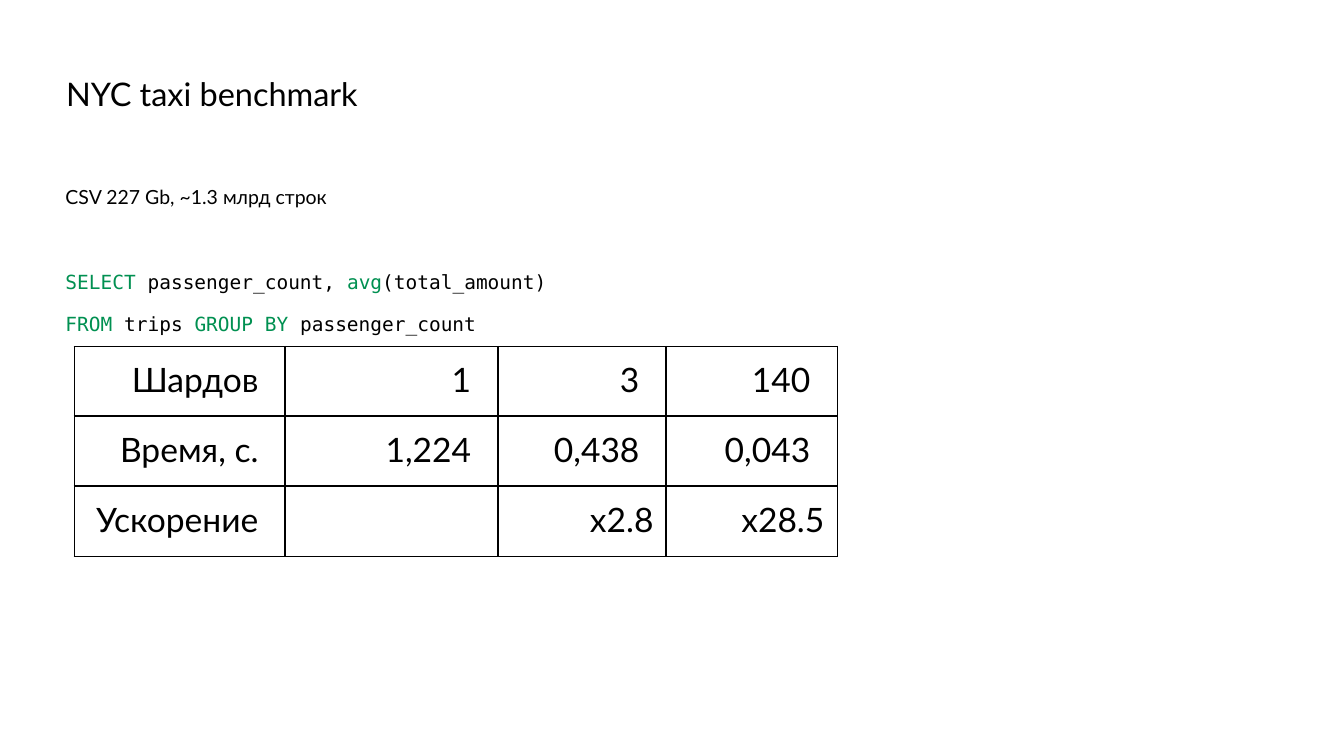
from dataclasses import dataclass

from lxml import etree
from pptx import Presentation
from pptx import util as u
from pptx.dml.color import RGBColor
from pptx.enum import text
from pptx.oxml.ns import qn


@dataclass(frozen=True)
class Theme:
    sans: str = "Lato"
    mono: str = "DejaVu Sans Mono"
    ink: str = "000000"
    keyword: str = "009051"
    paper: str = "FFFFFF"
    title_size: int = 80
    text_size: int = 48
    title_shift: int = -5000
    text_shift: int = 6000
    code_shift: int = -400
    inner_line: float = 3
    outer_line: float = 1.5


@dataclass(frozen=True)
class Token:
    words: str
    is_keyword: bool = False


@dataclass(frozen=True)
class Row:
    cells: tuple[str, ...]


THEME = Theme()
QUERY = (
    (Token("SELECT", True), Token(" passenger_count, "),
     Token("avg", True), Token("(total_amount)")),
    (Token("FROM", True), Token(" trips "),
     Token("GROUP BY", True), Token(" passenger_count")),
)
ROWS = (
    Row(("Шардов", "1", "3", "140")),
    Row(("Время, с.", "1,224", "0,438", "0,043")),
    Row(("Ускорение", "", "x2.8", "x28.5")),
)
COLUMN_WIDTHS = (4.19, 4.22, 3.34, 3.39)
ROW_HEIGHT = 1.39
CELL_INSET = 0.25
NUMBER_INSET = 0.53


def add_span(para, words: str, *, size: float = THEME.text_size,
             font: str = THEME.sans, color: str = THEME.ink,
             shift: int = 0) -> None:
    span = para.add_run()
    span.text = words
    span.font.size = u.Pt(size)
    span.font.name = font
    span.font.bold = False
    span.font.color.rgb = RGBColor.from_string(color)
    if shift:
        span.font._element.set("baseline", str(shift))


def prepare_frame(frame) -> None:
    frame.word_wrap = True
    frame.auto_size = text.MSO_AUTO_SIZE.NONE
    frame.vertical_anchor = text.MSO_ANCHOR.TOP
    frame.margin_left = frame.margin_right = u.Inches(0.06)
    frame.margin_top = frame.margin_bottom = u.Inches(0.06)


def format_paragraph(para, *, spacing, before: float = 0,
                     align=text.PP_ALIGN.LEFT) -> None:
    para.line_spacing = spacing
    para.space_before = u.Pt(before)
    para.alignment = align


def add_title(page, words: str) -> None:
    title = page.shapes.title
    title.left, title.top = u.Inches(1.25), u.Inches(0.83)
    title.width, title.height = u.Inches(24.16), u.Inches(1.81)
    prepare_frame(title.text_frame)
    para = title.text_frame.paragraphs[0]
    format_paragraph(para, spacing=u.Pt(100))
    add_span(para, words, size=THEME.title_size, shift=THEME.title_shift)


def add_body(page, summary: str, query: tuple[tuple[Token, ...], ...]) -> None:
    box = page.shapes.add_textbox(
        u.Inches(1.24), u.Inches(3.34), u.Inches(20.44), u.Inches(9.99))
    prepare_frame(box.text_frame)
    para = box.text_frame.paragraphs[0]
    format_paragraph(para, spacing=u.Pt(60), before=30)
    add_span(para, summary, shift=THEME.text_shift)
    para = box.text_frame.add_paragraph()
    format_paragraph(para, spacing=u.Pt(60), before=59)
    for number, line in enumerate(query):
        if number:
            para.add_line_break()
        for token in line:
            add_span(para, token.words, font=THEME.mono,
                     color=THEME.keyword if token.is_keyword else THEME.ink,
                     shift=THEME.code_shift)


def set_borders(cell, widths: dict[str, float]) -> None:
    properties = cell._tc.get_or_add_tcPr()
    for position, (side, width) in enumerate(widths.items()):
        line = etree.Element(qn(f"a:ln{side}"), w=str(int(u.Pt(width))))
        fill = etree.SubElement(line, qn("a:solidFill"))
        etree.SubElement(fill, qn("a:srgbClr"), val=THEME.ink)
        properties.insert(position, line)


def add_results(page, rows: tuple[Row, ...]) -> None:
    frame = page.shapes.add_table(
        len(rows), len(COLUMN_WIDTHS), u.Inches(1.47), u.Inches(6.87),
        u.Inches(sum(COLUMN_WIDTHS)), u.Inches(ROW_HEIGHT * len(rows)))
    table = frame.table
    table.first_row = table.horz_banding = False
    for column, width in zip(table.columns, COLUMN_WIDTHS):
        column.width = u.Inches(width)
    last_row, last_column = len(rows) - 1, len(COLUMN_WIDTHS) - 1
    for r, row in enumerate(rows):
        table.rows[r].height = u.Inches(ROW_HEIGHT)
        for c, words in enumerate(row.cells):
            cell = table.cell(r, c)
            cell.fill.solid()
            cell.fill.fore_color.rgb = RGBColor.from_string(THEME.paper)
            cell.vertical_anchor = text.MSO_ANCHOR.MIDDLE
            cell.margin_left = cell.margin_top = u.Inches(CELL_INSET)
            cell.margin_bottom = u.Inches(CELL_INSET)
            is_ratio = r == last_row and c > 0
            cell.margin_right = u.Inches(CELL_INSET if is_ratio else NUMBER_INSET)
            edges = {"L": c == 0, "R": c == last_column,
                     "T": r == 0, "B": r == last_row}
            set_borders(cell, {
                side: THEME.outer_line if is_outer else THEME.inner_line
                for side, is_outer in edges.items()})
            if words:
                para = cell.text_frame.paragraphs[0]
                format_paragraph(para, spacing=0.9, before=30,
                                 align=text.PP_ALIGN.RIGHT)
                add_span(para, words)


def main() -> None:
    deck = Presentation()
    deck.slide_width, deck.slide_height = u.Inches(26.67), u.Inches(15)
    page = deck.slides.add_slide(deck.slide_layouts[5])
    add_body(page, "CSV 227 Gb, ~1.3 млрд строк", QUERY)
    add_title(page, "NYC taxi benchmark")
    add_results(page, ROWS)
    deck.save("out.pptx")


if __name__ == "__main__":
    main()
